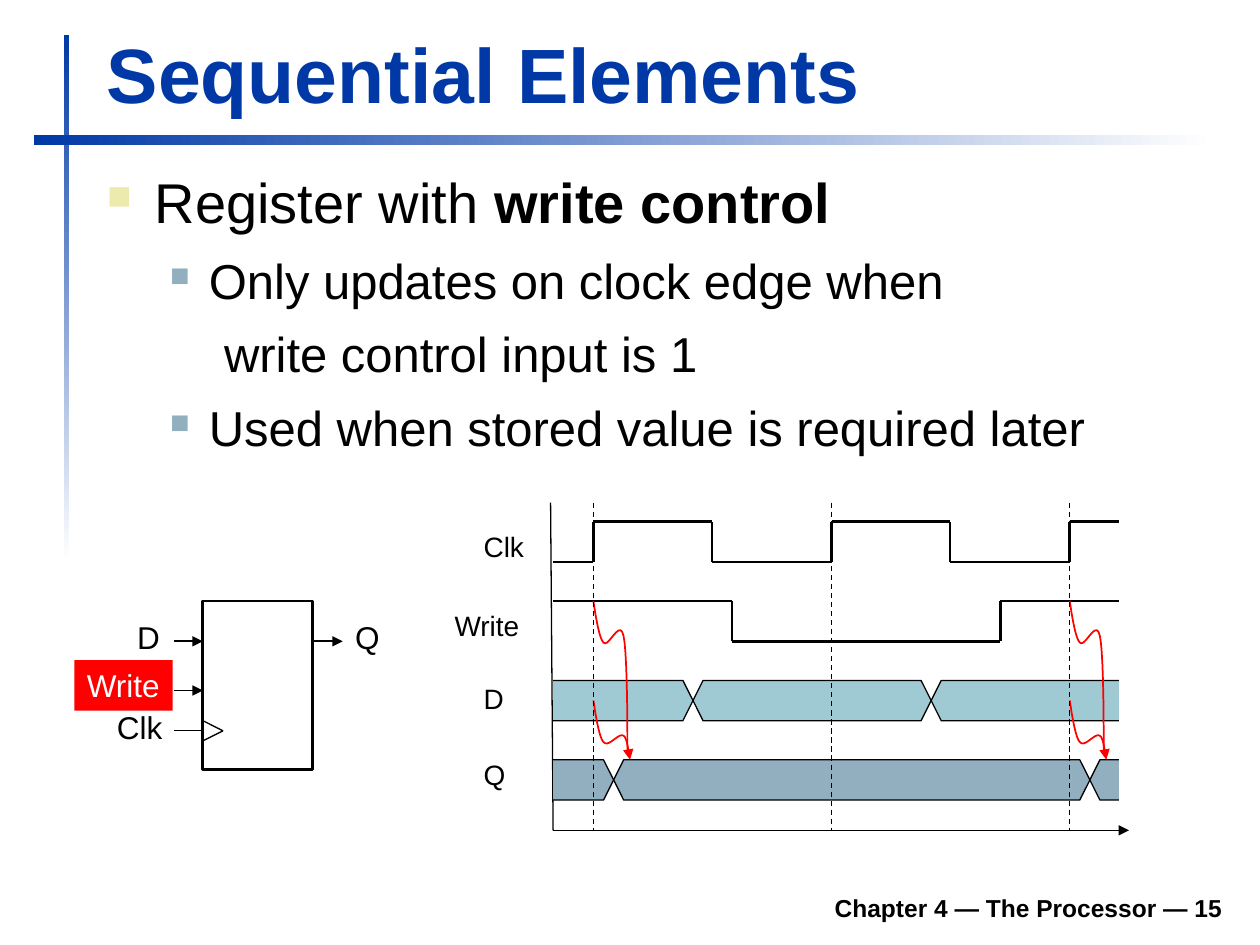
from lxml import etree
from pptx import Presentation
from pptx.dml.color import RGBColor
from pptx.enum.dml import MSO_LINE
from pptx.enum.shapes import MSO_CONNECTOR, MSO_SHAPE
from pptx.enum.text import MSO_ANCHOR, PP_ALIGN
from pptx.oxml.ns import qn
from pptx.util import Inches, Pt

RECTANGLE = MSO_SHAPE.RECTANGLE
STRAIGHT = MSO_CONNECTOR.STRAIGHT
DASH = MSO_LINE.DASH
BOTTOM, TOP = MSO_ANCHOR.BOTTOM, MSO_ANCHOR.TOP
LEFT, RIGHT = PP_ALIGN.LEFT, PP_ALIGN.RIGHT

COLORS = {"blue": "0039A6", "white": "FFFFFF", "black": "000000", "red": "FF0000",
          "cream": "ECEAAC", "slate": "91AFBF", "teal": "9FCAD3"}

TITLE = "Sequential Elements"
FOOTER = "Chapter 4 — The Processor — 15"
BODY = [
    {"runs": [("Register with ", False), ("write control", True)],
     "size": 32, "before": 0, "margin": 0.38, "hang": 0.38, "bullet": ("cream", 60)},
    {"runs": [("Only updates on clock edge when", False)],
     "size": 28, "before": 9, "margin": 0.81, "hang": 0.31, "bullet": ("slate", 55)},
    {"runs": [("write control input is 1", False)],
     "size": 28, "before": 8.4, "margin": 0.93, "hang": 0, "bullet": None},
    {"runs": [("Used when stored value is required later", False)],
     "size": 28, "before": 8.4, "margin": 0.81, "hang": 0.31, "bullet": ("slate", 55)},
]

RULES = [((0.51, 0.28, 0.04, 4.17), 270), ((0.27, 1.07, 9.37, 0.08), 0)]
REGISTER = (1.61, 4.77, 0.87, 1.34)
REGISTER_ARROWS = [((1.38, 5.09), (1.61, 5.09)), ((2.48, 5.09), (2.72, 5.09)),
                   ((1.38, 5.48), (1.61, 5.48))]
CLOCK_LINES = [((1.38, 5.8), (1.61, 5.8)), ((1.61, 5.72), (1.77, 5.8)),
               ((1.61, 5.88), (1.77, 5.8))]
LABELS = [
    ("D", (0.99, 4.86, 0.38, 0.4), 18), ("Clk", (0.83, 5.57, 0.56, 0.4), 18),
    ("Q", (2.72, 4.86, 0.39, 0.4), 18), ("Clk", (3.74, 4.15, 0.52, 0.37), 16),
    ("Write", (3.51, 4.78, 0.71, 0.37), 16), ("D", (3.74, 5.36, 0.36, 0.37), 16),
    ("Q", (3.74, 5.96, 0.37, 0.37), 16),
]
WRITE_INPUT = ("Write", (0.59, 5.24, 0.78, 0.4), 18)

START, END = 4.39, 8.88
AXIS_TOP, AXIS_Y = 3.99, 6.59
PERIOD = 1.89
EDGES = [4.71 + PERIOD * i for i in range(3)]
SIGNAL_HEIGHT, SLOPE = 0.32, 0.08
WAVES = [
    {"high": 4.14, "level": 0, "toggles": [4.71, 5.65, 6.6, 7.54, 8.49]},
    {"high": 4.77, "level": 1, "toggles": [5.81, 7.94]},
]
BUSES = [
    {"top": 5.4, "changes": [5.5, 7.39], "color": "teal"},
    {"top": 6.03, "changes": [4.87, 8.65], "color": "slate"},
]
DATA_CURVE = [(0, 5.56), (0.01, 5.62), (0.04, 5.85), (0.08, 5.89), (0.12, 5.94),
              (0.2, 5.81), (0.24, 5.84), (0.27, 5.86), (0.28, 5.99), (0.29, 6.03)]
WRITE_CURVE = [(0, 4.77), (0.01, 4.83), (0.04, 5.06), (0.08, 5.1), (0.12, 5.15),
               (0.21, 4.9), (0.24, 5.05), (0.27, 5.19), (0.27, 5.78), (0.27, 5.97)]

prs = Presentation()
prs.slide_width, prs.slide_height = Inches(10), Inches(7.5)
slide = prs.slides.add_slide(prs.slide_layouts[6])
shapes = slide.shapes


def rgb(name):
    return RGBColor.from_string(COLORS[name])


def lengths(values):
    return [Inches(v) for v in values]


def style_line(shape, color, width, arrow=False):
    shape.line.color.rgb = rgb(color)
    shape.line.width = Pt(width)
    if arrow:
        etree.SubElement(shape.line._get_or_add_ln(), qn("a:tailEnd"), type="triangle")


def draw_line(begin, end, width=0.75, arrow=False, dash=None):
    line = shapes.add_connector(STRAIGHT, *lengths(begin + end))
    style_line(line, "black", width)
    if dash:
        line.line.dash_style = dash
    if arrow:
        etree.SubElement(line.line._get_or_add_ln(), qn("a:tailEnd"), type="triangle")
    etree.SubElement(line._element.spPr, qn("a:effectLst"))


def draw_outline(points, closed, fill=None):
    builder = shapes.build_freeform(*lengths(points[0]))
    builder.add_line_segments([lengths(p) for p in points[1:]], close=closed)
    outline = builder.convert_to_shape()
    outline.shadow.inherit = False
    if fill:
        outline.fill.solid()
        outline.fill.fore_color.rgb = rgb(fill)
    else:
        outline.fill.background()
    return outline


def draw_rectangle(box):
    rectangle = shapes.add_shape(RECTANGLE, *lengths(box))
    rectangle.shadow.inherit = False
    return rectangle


def format_font(font, size, color, bold=False):
    font.name, font.size, font.bold = "Arial", Pt(size), bold
    font.color.rgb = rgb(color)


def write_text(shape, text, size, color="black", bold=False, anchor=TOP,
               align=LEFT, wrap=False):
    frame = shape.text_frame
    frame.text = text
    frame.word_wrap, frame.vertical_anchor = wrap, anchor
    frame.paragraphs[0].alignment = align
    format_font(frame.paragraphs[0].runs[0].font, size, color, bold)


def sample_curve(controls, steps=10):
    points = [controls[0]]
    for i in range(0, len(controls) - 1, 3):
        a, b, c, d = controls[i:i + 4]
        for t in (n / steps for n in range(1, steps + 1)):
            u = 1 - t
            points.append(tuple(u**3 * p + 3 * u * u * t * q + 3 * u * t * t * r + t**3 * s
                                for p, q, r, s in zip(a, b, c, d)))
    return points


def draw_bus(top, changes, color):
    middle, bottom = top + SIGNAL_HEIGHT / 2, top + SIGNAL_HEIGHT
    bounds = [START] + changes + [END]
    for left, right in zip(bounds, bounds[1:]):
        left_end = [(left, bottom), (left, top)]
        right_end = [(right, top), (right, bottom)]
        if left != START:
            left_end = [(left + SLOPE, bottom), (left, middle), (left + SLOPE, top)]
        if right != END:
            right_end = [(right - SLOPE, top), (right, middle), (right - SLOPE, bottom)]
        if left == START:
            points = left_end[1:] + right_end + left_end[:1]
        else:
            points = right_end[-1:] + left_end + right_end[:-1]
        closed = left != START and right != END
        style_line(draw_outline(points, closed, color), "black", 0.75)


def draw_wave(high, level, toggles):
    heights = (high + SIGNAL_HEIGHT, high)
    x = START
    for toggle in toggles + [END]:
        draw_line((x, heights[level]), (toggle, heights[level]), 1.5)
        if toggle != END:
            draw_line((toggle, heights[0]), (toggle, heights[1]), 1.5)
        x, level = toggle, 1 - level


def write_body(frame):
    frame.word_wrap = True
    for i, item in enumerate(BODY):
        paragraph = frame.paragraphs[0] if i == 0 else frame.add_paragraph()
        pPr = paragraph._p.get_or_add_pPr()
        pPr.set("marL", str(Inches(item["margin"])))
        pPr.set("indent", str(-Inches(item["hang"])))
        if item["bullet"]:
            color, percent = item["bullet"]
            tint = etree.SubElement(pPr, qn("a:buClr"))
            etree.SubElement(tint, qn("a:srgbClr"), val=COLORS[color])
            etree.SubElement(pPr, qn("a:buSzPct"), val=str(percent * 1000))
            etree.SubElement(pPr, qn("a:buChar"), char="■")
        paragraph.space_before = Pt(item["before"])
        for text, bold in item["runs"]:
            run = paragraph.add_run()
            run.text = text
            format_font(run.font, item["size"], "black", bold)


for box, angle in RULES:
    rule = draw_rectangle(box)
    rule.line.fill.background()
    rule.fill.gradient()
    rule.fill.gradient_angle = angle
    for stop, color in zip(rule.fill.gradient_stops, ("blue", "white")):
        stop.color.rgb = rgb(color)

write_text(shapes.add_textbox(*lengths((1.85, 6.98, 7.95, 0.39))), FOOTER, 14,
           bold=True, anchor=BOTTOM, align=RIGHT, wrap=True)
write_text(shapes.add_textbox(*lengths((0.75, 0.16, 9.03, 0.83))), TITLE, 44, "blue",
           bold=True, anchor=BOTTOM, wrap=True)
write_body(shapes.add_textbox(*lengths((0.75, 1.28, 9.04, 2.47))).text_frame)

register = draw_rectangle(REGISTER)
register.fill.background()
style_line(register, "black", 1.5)
for begin, end in REGISTER_ARROWS:
    draw_line(begin, end, 1, arrow=True)
for begin, end in CLOCK_LINES:
    draw_line(begin, end)
for text, box, size in LABELS:
    write_text(shapes.add_textbox(*lengths(box)), text, size)

text, box, size = WRITE_INPUT
write_input = draw_rectangle(box)
write_input.fill.solid()
write_input.fill.fore_color.rgb = rgb("red")
write_input.line.fill.background()
write_text(write_input, text, size, "white")

draw_line((START, AXIS_Y), (8.96, AXIS_Y), arrow=True)
draw_line((START, AXIS_Y), (4.37, AXIS_TOP))
for bus in BUSES:
    draw_bus(**bus)
for wave in WAVES:
    draw_wave(**wave)
for edge in (EDGES[0], EDGES[2]):
    for controls, arrow in ((DATA_CURVE, True), (WRITE_CURVE, False)):
        curve = [(edge + dx, y) for dx, y in sample_curve(controls)]
        style_line(draw_outline(curve, False), "red", 1, arrow)
for edge in EDGES:
    draw_line((edge, AXIS_TOP), (edge, AXIS_Y), dash=DASH)

prs.save("out.pptx")
